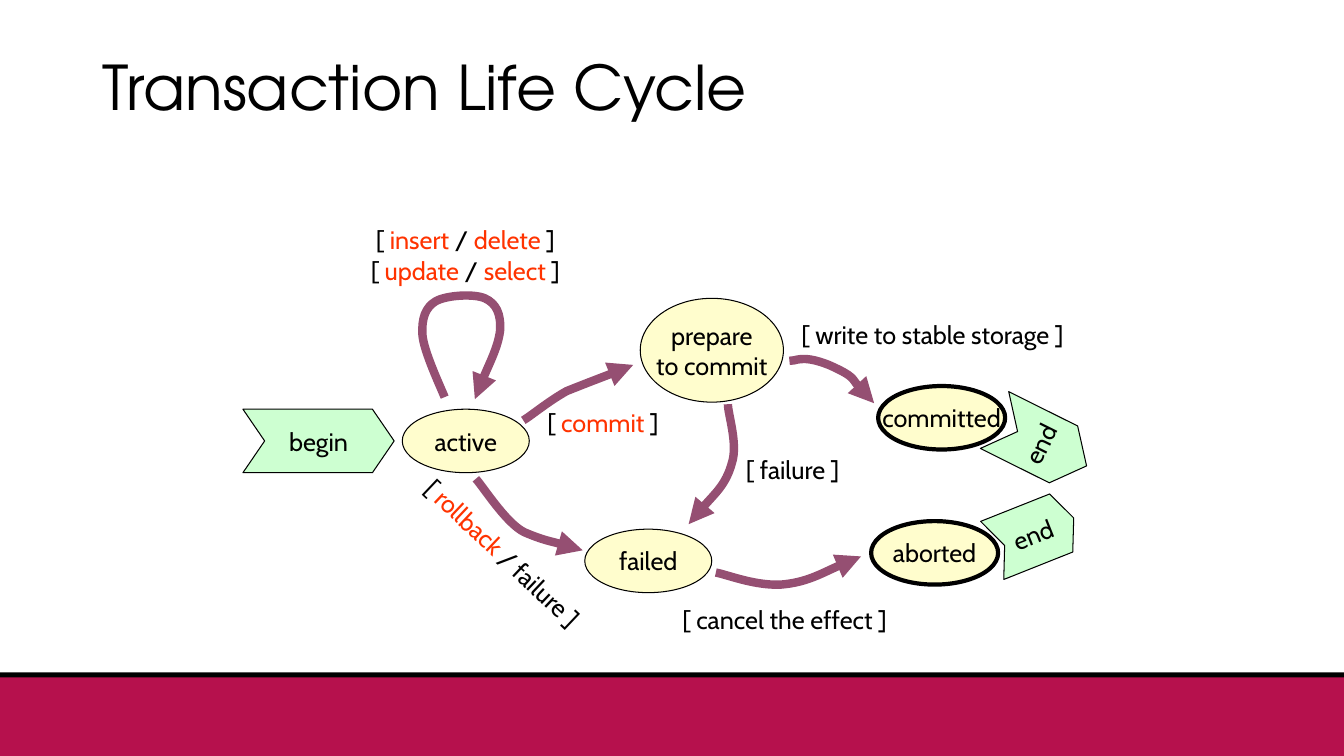
from dataclasses import dataclass

from lxml import etree
from pptx import Presentation
from pptx.dml.color import RGBColor
from pptx.enum.shapes import MSO_SHAPE
from pptx.enum.text import MSO_ANCHOR, MSO_AUTO_SIZE, PP_ALIGN
from pptx.oxml.ns import qn
from pptx.shapes.autoshape import Shape
from pptx.slide import Slide
from pptx.text.text import TextFrame
from pptx.util import Inches, Pt

RECT, OVAL, CHEVRON = MSO_SHAPE.RECTANGLE, MSO_SHAPE.OVAL, MSO_SHAPE.CHEVRON
LEFT, CENTER = PP_ALIGN.LEFT, PP_ALIGN.CENTER
TOP, MIDDLE = MSO_ANCHOR.TOP, MSO_ANCHOR.MIDDLE
GROW = MSO_AUTO_SIZE.SHAPE_TO_FIT_TEXT
HALF_TURN = "10800000"

Point = tuple[float, float]
Box = tuple[float, float, float, float]


@dataclass(frozen=True)
class Theme:
    ink: str = "000000"
    keyword: str = "FF3300"
    state: str = "FFFDCD"
    marker: str = "CDFFD1"
    arrow: str = "954F72"
    band: str = "B6114D"
    title_font: str = "TeX Gyre Adventor"
    body_font: str = "Cabin"
    title_size: int = 44
    body_size: int = 18
    thin: float = 0.75
    thick: float = 3
    arrow_width: float = 6


@dataclass(frozen=True)
class State:
    text: str
    left: float
    top: float
    width: float = 1.26
    height: float = 0.63
    final: bool = False


@dataclass(frozen=True)
class Marker:
    text: str
    box: Box
    notch: float
    rotation: float = 0
    upward: bool = False


@dataclass(frozen=True)
class Label:
    text: str
    box: Box
    rotation: float = 0
    align: PP_ALIGN = LEFT


THEME = Theme()
STATES = [
    State("active", 3.99, 4.06),
    State("aborted", 8.64, 5.17, final=True),
    State("failed", 5.8, 5.25),
    State("prepare\nto commit", 6.35, 2.96, 1.42, 1.03),
    State("committed", 8.71, 3.83, final=True),
]
MARKERS = [
    Marker("begin", (2.41, 4.06, 1.5, 0.63), 0.342),
    Marker("end", (9.81, 4.08, 1.02, 0.63), 0.406, 26.5, upward=True),
    Marker("end", (9.81, 4.99, 0.87, 0.62), 0.215, 338.3),
]
# Each arrow is a start point followed by three points per Bézier curve.
ARROWS: list[list[Point]] = [
    [(5.19, 4.17), (5.26, 4.13), (5.44, 3.98), (5.62, 3.88),
     (5.87, 3.78), (6.14, 3.68), (6.28, 3.62)],
    [(4.41, 3.94), (4.37, 3.84), (4.2, 3.48), (4.19, 3.32),
     (4.18, 3.16), (4.22, 3.05), (4.32, 2.99),
     (4.42, 2.93), (4.7, 2.91), (4.81, 2.96),
     (4.92, 3.01), (4.97, 3.11), (4.96, 3.28),
     (4.94, 3.44), (4.76, 3.81), (4.71, 3.96)],
    [(4.72, 4.75), (4.8, 4.84), (5.02, 5.19), (5.2, 5.28),
     (5.39, 5.36), (5.66, 5.42), (5.78, 5.46)],
    [(7.83, 3.58), (7.89, 3.59), (7.94, 3.51), (8.22, 3.62),
     (8.49, 3.74), (8.57, 3.92), (8.67, 4)],
    [(7.22, 4.01), (7.22, 4.11), (7.32, 4.4), (7.26, 4.59),
     (7.2, 4.81), (6.92, 5.08), (6.83, 5.2)],
    [(7.1, 5.68), (7.21, 5.7), (7.48, 5.81), (7.74, 5.8),
     (8, 5.78), (8.37, 5.58), (8.54, 5.52)],
]
LABELS = [
    Label("[ *insert* / *delete* ]\n[ *update* / *select* ]", (3.52, 2.18, 2.19, 0.7), align=CENTER),
    Label("[ *commit* ]", (5.33, 3.99, 1.36, 0.4)),
    Label("[ write to stable storage ]", (7.85, 3.12, 3.03, 0.4)),
    Label("[ cancel the effect ]", (6.67, 5.95, 2.37, 0.4)),
    Label("[ *rollback* / failure ]", (3.87, 5.34, 2.34, 0.4), 43.4),
    Label("[ failure ]", (7.3, 4.46, 1.24, 0.4)),
]


def write(tf: TextFrame, text: str, *, font: str = THEME.body_font, size: int = THEME.body_size,
          align: PP_ALIGN = LEFT, anchor: MSO_ANCHOR = TOP, wrap: bool = False,
          spacing: float = 1.0) -> None:
    """Fill a frame; words between asterisks take the keyword colour."""
    tf.word_wrap = wrap
    tf.vertical_anchor = anchor
    for i, line in enumerate(text.split("\n")):
        p = tf.add_paragraph() if i else tf.paragraphs[0]
        p.alignment = align
        p.line_spacing = spacing
        for j, part in enumerate(line.split("*")):
            if part:
                r = p.add_run()
                r.text = part
                r.font.name = font
                r.font.size = Pt(size)
                r.font.color.rgb = RGBColor.from_string(THEME.keyword if j % 2 else THEME.ink)


def add_figure(s: Slide, kind: MSO_SHAPE, box: Box, fill: str, line_width: float = 0) -> Shape:
    sp = s.shapes.add_shape(kind, *map(Inches, box))
    sp.shadow.inherit = False
    sp.fill.solid()
    sp.fill.fore_color.rgb = RGBColor.from_string(fill)
    if line_width:
        sp.line.color.rgb = RGBColor.from_string(THEME.ink)
        sp.line.width = Pt(line_width)
    else:
        sp.line.fill.background()
    return sp


def add_state(s: Slide, state: State) -> None:
    box = (state.left, state.top, state.width, state.height)
    sp = add_figure(s, OVAL, box, THEME.state, THEME.thick if state.final else THEME.thin)
    write(sp.text_frame, state.text, align=CENTER, anchor=MIDDLE)


def add_marker(s: Slide, marker: Marker) -> None:
    sp = add_figure(s, CHEVRON, marker.box, THEME.marker, THEME.thin)
    sp.adjustments[0] = marker.notch
    sp.rotation = marker.rotation
    write(sp.text_frame, marker.text, align=CENTER, anchor=MIDDLE)
    if marker.upward:
        body = sp.text_frame._txBody.bodyPr
        body.set("rot", HALF_TURN)
        body.set("vert", "eaVert")


def add_label(s: Slide, label: Label) -> None:
    sp = s.shapes.add_textbox(*map(Inches, label.box))
    sp.rotation = label.rotation
    write(sp.text_frame, label.text, align=label.align)
    sp.text_frame.auto_size = GROW


def bend(sp: Shape) -> None:
    """Turn every three line segments of a freeform into one cubic Bézier curve."""
    lines = list(sp._element.iter(qn("a:lnTo")))
    for i in range(0, len(lines), 3):
        curve = etree.Element(qn("a:cubicBezTo"))
        lines[i].addprevious(curve)
        for line in lines[i:i + 3]:
            curve.append(line[0])
            line.getparent().remove(line)


def add_arrow(s: Slide, points: list[Point]) -> None:
    start, *rest = [(Inches(x), Inches(y)) for x, y in points]
    builder = s.shapes.build_freeform(*start)
    builder.add_line_segments(rest, close=False)
    sp = builder.convert_to_shape()
    bend(sp)
    sp.shadow.inherit = False
    sp.fill.background()
    sp.line.color.rgb = RGBColor.from_string(THEME.arrow)
    sp.line.width = Pt(THEME.arrow_width)
    ln = sp.line._get_or_add_ln()
    etree.SubElement(ln, qn("a:round"))
    etree.SubElement(ln, qn("a:tailEnd"), type="triangle")


def main() -> None:
    prs = Presentation()
    prs.slide_width, prs.slide_height = Inches(13.33), Inches(7.5)
    s = prs.slides.add_slide(prs.slide_layouts[6])
    add_figure(s, RECT, (0, 6.67, 13.33, 0.83), THEME.ink)
    add_figure(s, RECT, (0, 6.72, 13.33, 0.78), THEME.band)
    title = s.shapes.add_textbox(*map(Inches, (0.92, 0.4, 11.5, 1)))
    write(title.text_frame, "Transaction Life Cycle", font=THEME.title_font,
          size=THEME.title_size, anchor=MIDDLE, wrap=True, spacing=0.9)
    for items, draw in ((STATES, add_state), (MARKERS, add_marker),
                        (ARROWS, add_arrow), (LABELS, add_label)):
        for item in items:
            draw(s, item)
    prs.save("out.pptx")


if __name__ == "__main__":
    main()
